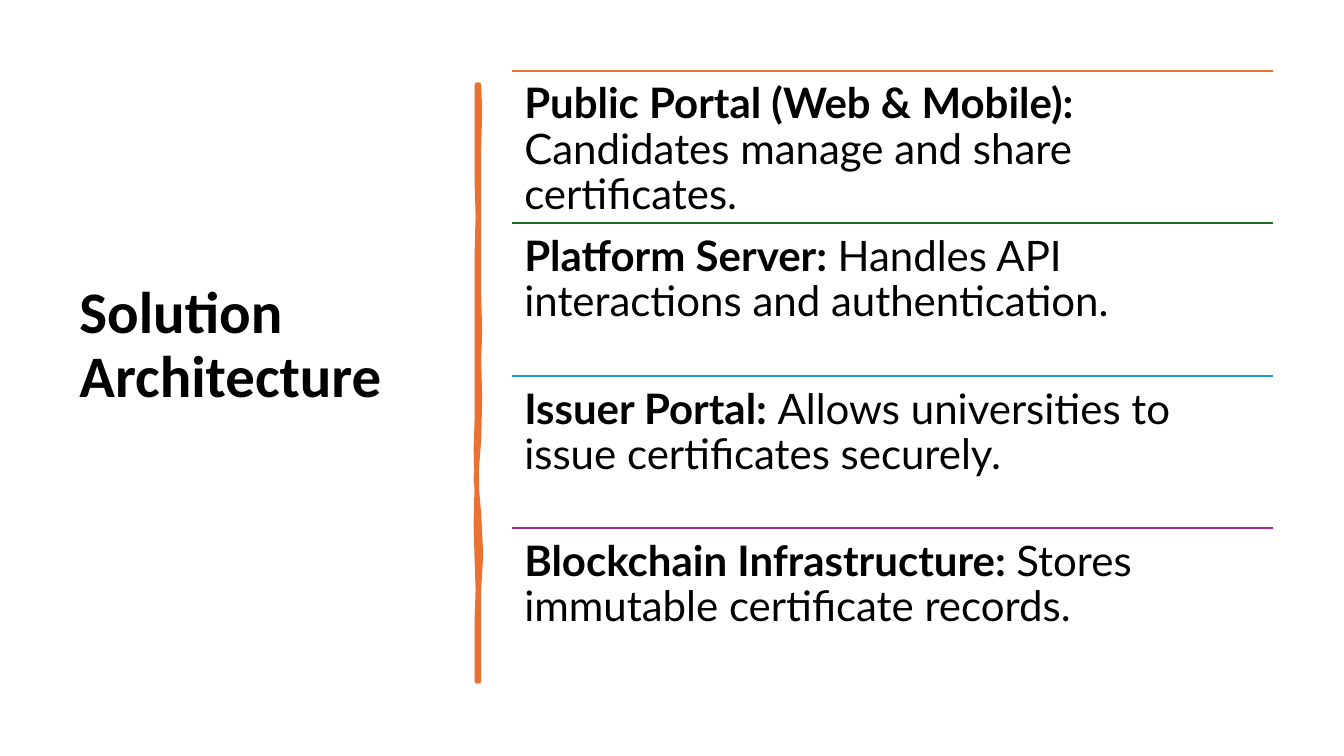
from lxml.etree import SubElement
from pptx import Presentation
from pptx.dml.color import RGBColor as RGB
from pptx.enum.shapes import MSO_CONNECTOR as CONN
from pptx.enum.text import MSO_ANCHOR as ANCHOR
from pptx.oxml.ns import qn
from pptx.util import Pt

PX = 9144
BLACK = RGB(0x00, 0x00, 0x00)
ORANGE = RGB(0xE9, 0x71, 0x32)
GREEN = RGB(0x19, 0x6B, 0x24)
BLUE = RGB(0x0F, 0x9E, 0xD5)
PURPLE = RGB(0xA0, 0x2B, 0x93)


def add_text(box, anchor, insets, runs, style):
    area = slide.shapes.add_textbox(*[n * PX for n in box])
    frame = area.text_frame
    frame.word_wrap = True
    frame.vertical_anchor = anchor
    for side, inset in zip(("left", "top", "right", "bottom"), insets):
        setattr(frame, "margin_" + side, inset * PX)
    para = frame.paragraphs[0]
    para.line_spacing = 0.9
    for words, bold in runs:
        run = para.add_run()
        run.text = words
        run.font.color.rgb = BLACK
        for key, value in {**style, "bold": bold}.items():
            setattr(run.font, key, value)


deck = Presentation()
deck.slide_width = 1333 * PX
deck.slide_height = 750 * PX
slide = deck.slides.add_slide(deck.slide_layouts[6])

add_text((69, 70, 374, 611), ANCHOR.MIDDLE, (10, 5, 10, 69),
         [("Solution Architecture", True)],
         {"name": "Calibri", "size": Pt(42)})

right = [(475, 84), (476, 110), (475, 146), (475, 226), (475, 294),
         (476, 330), (475, 356), (476, 396), (475, 436), (472, 475),
         (475, 510), (477, 550), (475, 584), (475, 676)]
left = [(473, 676), (473, 613), (474, 585), (473, 557), (472, 520),
        (473, 477), (472, 446), (473, 415), (473, 335), (473, 250),
        (474, 215), (473, 181), (473, 84)]
edge = right + left
pen = slide.shapes.build_freeform(*edge[0], scale=PX)
pen.add_line_segments(edge[1:], close=True)
stroke = pen.convert_to_shape()
stroke.shadow.inherit = False
stroke.fill.solid()
stroke.fill.fore_color.rgb = ORANGE
stroke.line.color.rgb = ORANGE
stroke.line.width = Pt(3.25)

parts = [
    ("Public Portal (Web & Mobile): ",
     "Candidates manage and share certificates.", ORANGE),
    ("Platform Server: ",
     "Handles API interactions and authentication.", GREEN),
    ("Issuer Portal: ",
     "Allows universities to issue certificates securely.", BLUE),
    ("Blockchain Infrastructure: ",
     "Stores immutable certificate records.", PURPLE),
]
x, width, height = 508, 755, 151
for i, (head, body, color) in enumerate(parts):
    y = 70 + round(i * 454 / 3)
    rule = slide.shapes.add_connector(
        CONN.STRAIGHT, x * PX, y * PX, (x + width) * PX, y * PX)
    rule.line.color.rgb = color
    rule.line.width = Pt(1.5)
    SubElement(rule._element.spPr, qn("a:effectLst"))
    add_text((x, y, width, height), ANCHOR.TOP, (12, 12, 12, 12),
             [(head, True), (body, False)],
             {"name": "Lato", "size": Pt(30)})

deck.save("out.pptx")
